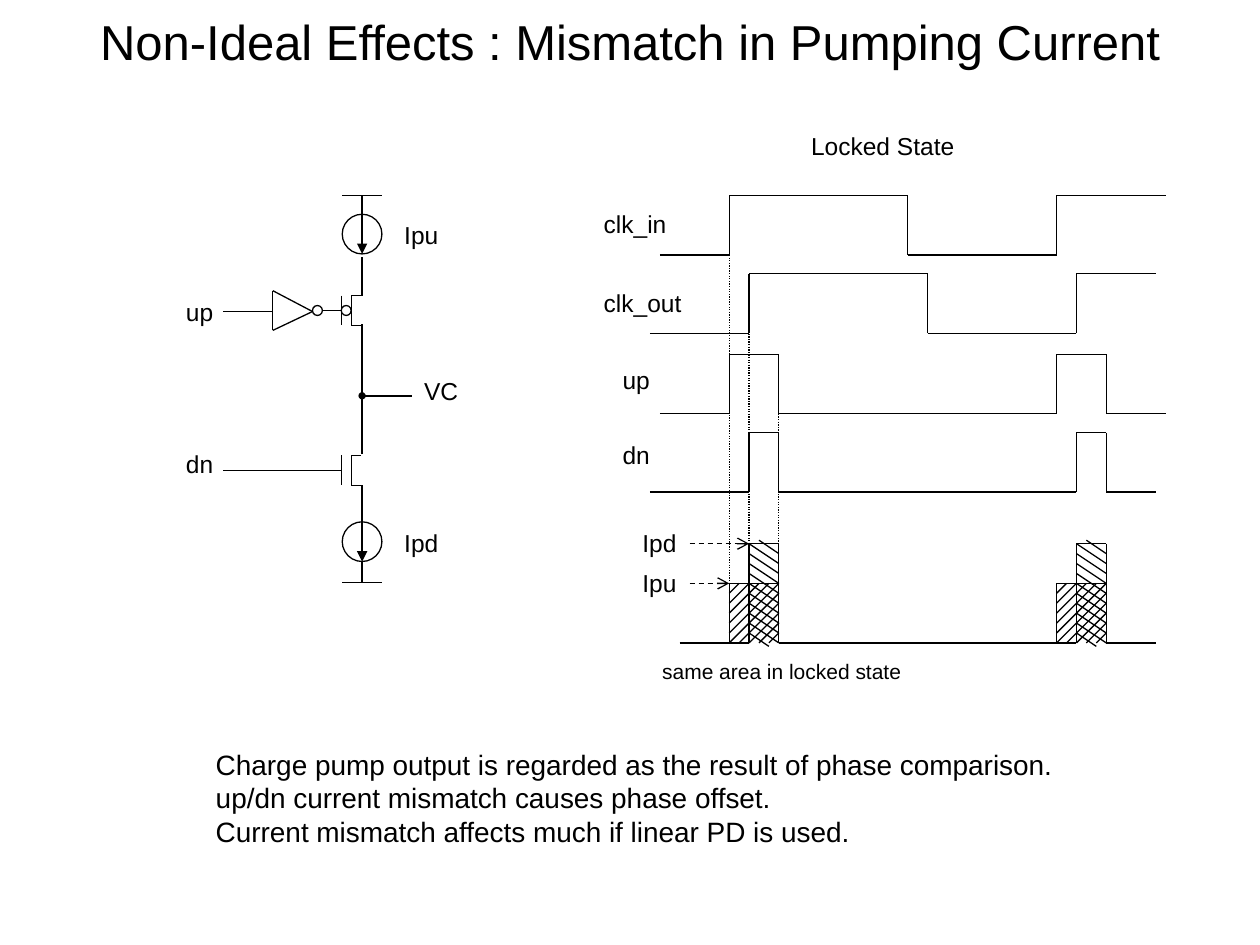
from itertools import pairwise

from lxml import etree
from pptx import Presentation
from pptx.dml.color import RGBColor
from pptx.enum.dml import MSO_LINE
from pptx.enum.shapes import MSO_CONNECTOR, MSO_SHAPE
from pptx.enum.text import MSO_ANCHOR, MSO_AUTO_SIZE, PP_ALIGN
from pptx.oxml.ns import qn
from pptx.util import Inches, Mm, Pt

STRAIGHT = MSO_CONNECTOR.STRAIGHT
ELLIPSE = MSO_SHAPE.OVAL
DASH, DOTS = MSO_LINE.DASH, MSO_LINE.ROUND_DOT
FIT, TOP, CENTER = MSO_AUTO_SIZE.SHAPE_TO_FIT_TEXT, MSO_ANCHOR.TOP, PP_ALIGN.CENTER
BLACK = RGBColor(0, 0, 0)
CELL = Mm(2)


def grid(*cells):
    return [round(cell * CELL) for cell in cells]


class Sketch:
    font_name = "Arial"
    stroke = Pt(0.75)

    def __init__(self, slide):
        self.slide = slide

    def styled_run(self, paragraph, text, size):
        run = paragraph.add_run()
        run.text = text
        run.font.name = self.font_name
        run.font.size = Pt(size)
        run.font.color.rgb = BLACK

    def title(self, text):
        heading = self.slide.shapes.title
        heading.left, heading.top, heading.width, heading.height = grid(0, 0.5, 127, 7.25)
        heading.text_frame.vertical_anchor = TOP
        paragraph = heading.text_frame.paragraphs[0]
        paragraph.alignment = CENTER
        self.styled_run(paragraph, text, 28)

    def text(self, col, row, width, *lines, height=4.2, size=14, wrap=True):
        frame = self.slide.shapes.add_textbox(*grid(col, row, width, height)).text_frame
        frame.word_wrap = wrap
        frame.auto_size = FIT
        for index, line in enumerate(lines):
            paragraph = frame.add_paragraph() if index else frame.paragraphs[0]
            self.styled_run(paragraph, line, size)

    def trace(self, *points, dash=None, head=None):
        for start, end in pairwise(points):
            connector = self.slide.shapes.add_connector(STRAIGHT, *grid(*start, *end))
            connector.line.color.rgb = BLACK
            connector.line.width = self.stroke
            if dash:
                connector.line.dash_style = dash
            properties = connector.element.spPr
            if head:
                etree.SubElement(properties.find(qn("a:ln")), qn("a:tailEnd"), type=head)
            etree.SubElement(properties, qn("a:effectLst"))

    def circle(self, col, row, size, filled=False):
        ring = self.slide.shapes.add_shape(ELLIPSE, *grid(col, row, size, size))
        ring.shadow.inherit = False
        ring.line.color.rgb = BLACK
        ring.line.width = self.stroke
        if filled:
            ring.fill.solid()
            ring.fill.fore_color.rgb = BLACK
        else:
            ring.fill.background()

    def current_source(self, row):
        self.circle(34.5, row, 4)
        self.trace((36.5, row), (36.5, row + 4), head="triangle")

    def transistor(self, row):
        self.trace((34.4, row), (34.4, row + 3))
        self.trace((36.4, row), (35.4, row), (35.4, row + 3), (36.4, row + 3))

    def waveform(self, high, start, edges, end):
        level, other = high + 6, high
        points = [(start, level)]
        for edge in edges:
            points += [(edge, level), (edge, other)]
            level, other = other, level
        self.trace(*points, (end, level))

    def charge_pulse(self, col, row):
        def stroke(*points):
            self.trace(*((col + x, row + y) for x, y in points))

        stroke((0, 6), (0, 0), (5, 0))
        stroke((2, 6), (2, -4), (5, -4), (5, 6))
        stroke((-1, 6), (2, 6))
        for total in range(1, 11):
            right, left = min(total, 5), max(total - 6, 0)
            stroke((right, total - right), (left, total - left))
        for step in range(-4, 5):
            stroke((2, step), (5, step + 2))
        stroke((3, -4.35), (5, -3))
        stroke((2, 5), (4, 6.35))


def draw_charge_pump(sketch):
    line = sketch.trace
    for rail in (19.7, 58.7):
        line((34.5, rail), (38.5, rail))
    for top, bottom in ((19.7, 21.6), (25.9, 29.8), (32.7, 45.8), (48.9, 52.8), (56.6, 58.7)):
        line((36.5, top), (36.5, bottom))
    for row in (21.6, 52.6):
        sketch.current_source(row)
    for row in (29.8, 45.9):
        sketch.transistor(row)
    line((22.5, 31.4), (27.5, 31.4))
    line((27.5, 29.3), (31.5, 31.4), (27.5, 33.3), (27.5, 29.3))
    sketch.circle(31.5, 30.8, 1)
    line((32.5, 31.3), (34.5, 31.3))
    sketch.circle(34.4, 30.8, 1)
    line((22.5, 47.4), (34.5, 47.4))
    line((36.5, 39.9), (41.5, 39.9))
    sketch.circle(36.2, 39.6, 0.6, filled=True)
    for name, col, row in (("up", 17.5, 29.3), ("dn", 17.5, 44.6),
                           ("Ipu", 39.5, 21.6), ("Ipd", 39.5, 52.6)):
        sketch.text(col, row, 7, name)
    sketch.text(41.5, 37.3, 6, "VC", wrap=False)


def draw_timing(sketch):
    in_rise, out_rise, reset, period = 73.5, 75.5, 78.5, 33
    sketch.text(80.5, 12.6, 28, "Locked State")
    signals = (
        ("clk_in", 59.6, 20.4, 9, 19.7, 66.5, (in_rise, 91.5, in_rise + period), 117.5),
        ("clk_out", 59.6, 28.4, 12, 27.6, 65.5, (out_rise, 93.5, out_rise + period), 116.5),
        ("up", 61.5, 36.2, 7, 35.7, 66.5,
         (in_rise, reset, in_rise + period, reset + period), 117.5),
        ("dn", 61.5, 43.7, 7, 43.6, 65.5,
         (out_rise, reset, out_rise + period, reset + period), 116.5),
    )
    for name, col, row, width, high, start, edges, end in signals:
        sketch.text(col, row, width, name)
        sketch.waveform(high, start, edges, end)
    for col, top in ((in_rise, 25.7), (out_rise, 32.6), (reset, 38.6)):
        sketch.trace((col, top), (col, 59.6), dash=DOTS)
    for start, end in ((68.5, in_rise), (reset, 105.5), (reset + period, 116.5)):
        sketch.trace((start, 64.8), (end, 64.8))
    for col in (in_rise, in_rise + period):
        sketch.charge_pulse(col, 58.8)
    for name, row, level, edge in (("Ipd", 52.6, 54.8, out_rise), ("Ipu", 56.6, 58.8, in_rise)):
        sketch.text(63.5, row, 7, name)
        sketch.trace((69.5, level), (edge, level), dash=DASH, head="arrow")
    sketch.text(65.5, 65.8, 26.7, "same area in locked state", height=3.8, size=12, wrap=False)


def main():
    deck = Presentation()
    deck.slide_width, deck.slide_height = Inches(10), Inches(7.5)
    sketch = Sketch(deck.slides.add_slide(deck.slide_layouts[5]))
    sketch.title("Non-Ideal Effects : Mismatch in Pumping Current")
    draw_charge_pump(sketch)
    draw_timing(sketch)
    sketch.text(20.5, 74.7, 87.5,
                "Charge pump output is regarded as the result of phase comparison.",
                "up/dn current mismatch causes phase offset.",
                "Current mismatch affects much if linear PD is used.",
                height=11.4, size=16)
    deck.save("out.pptx")


if __name__ == "__main__":
    main()
